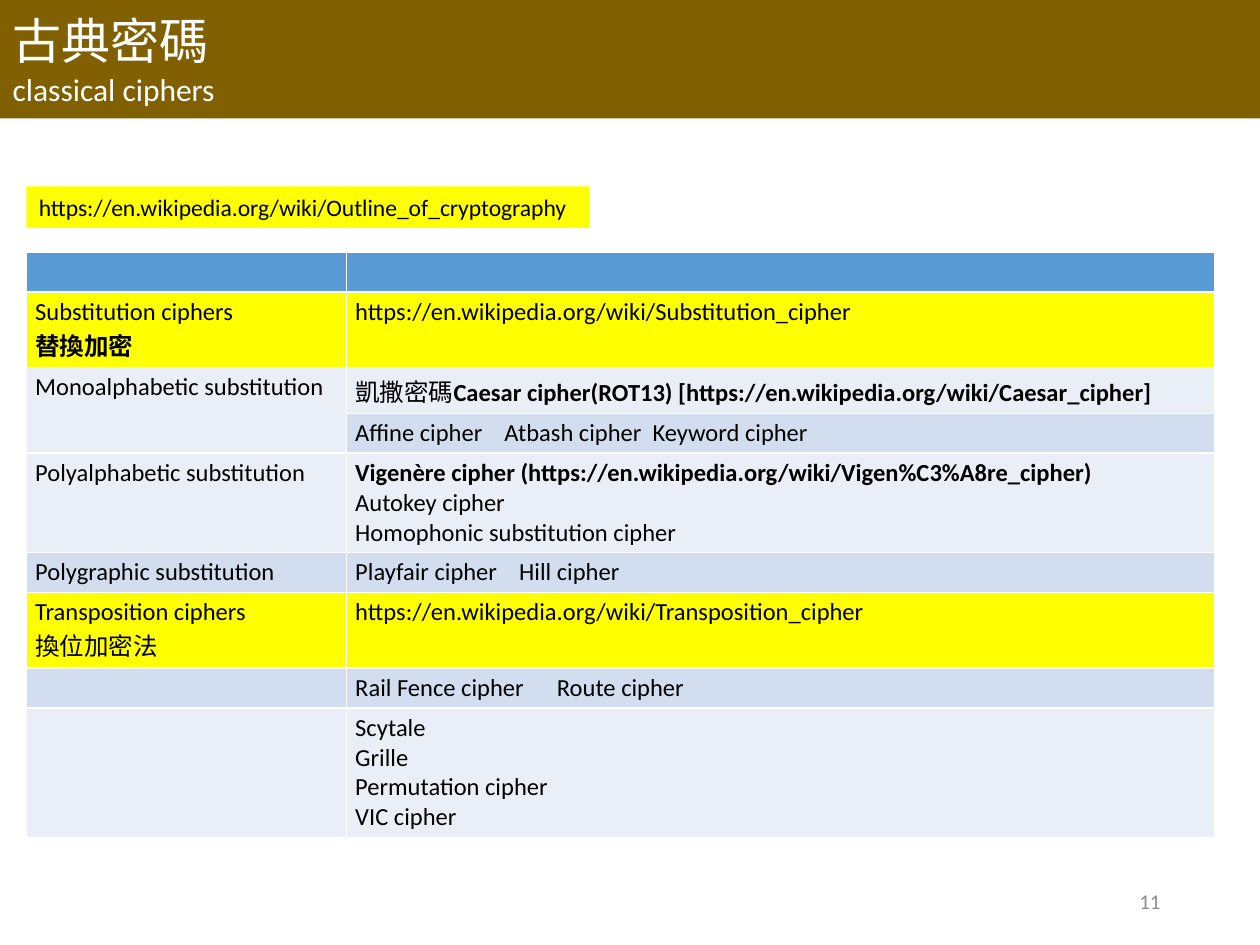
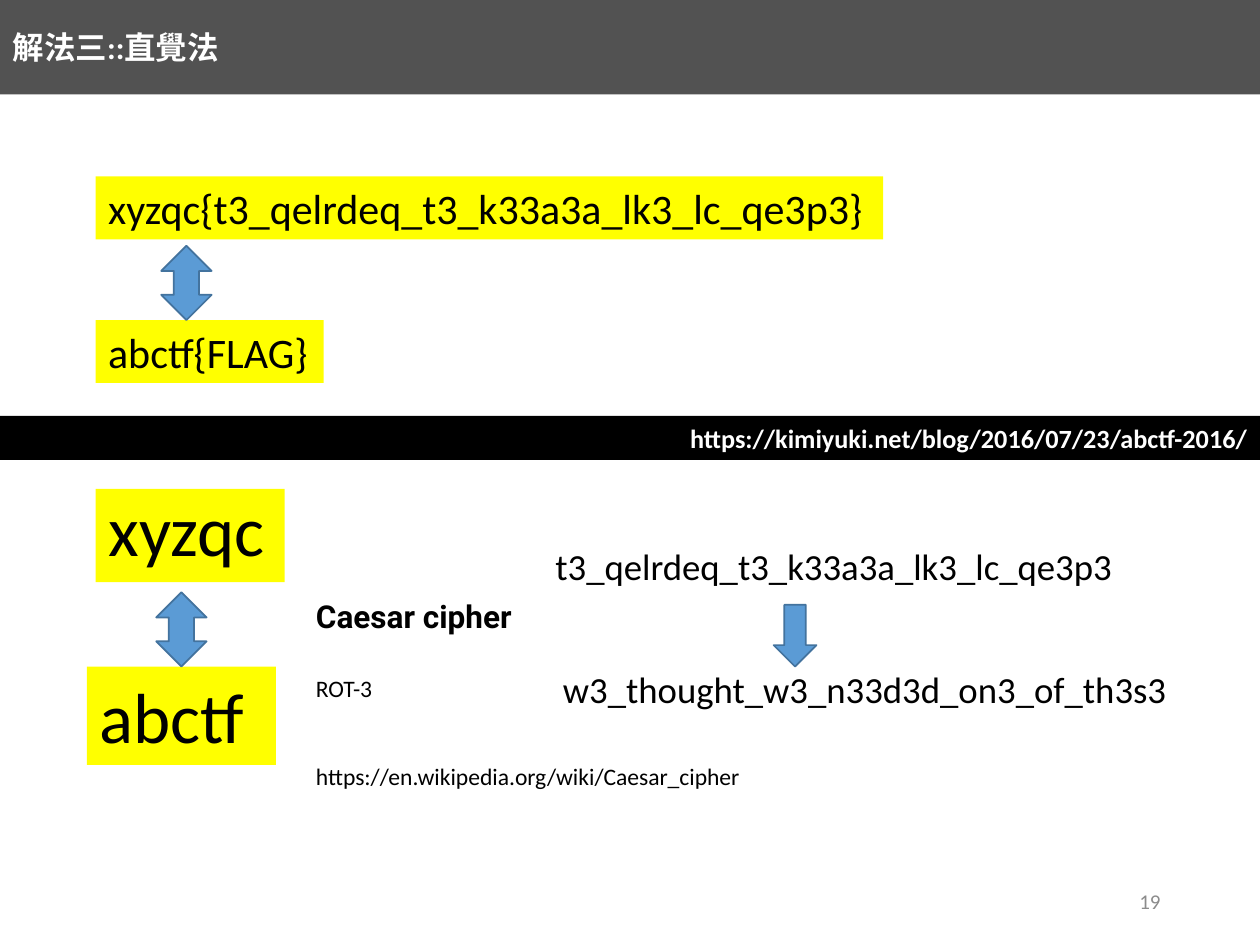
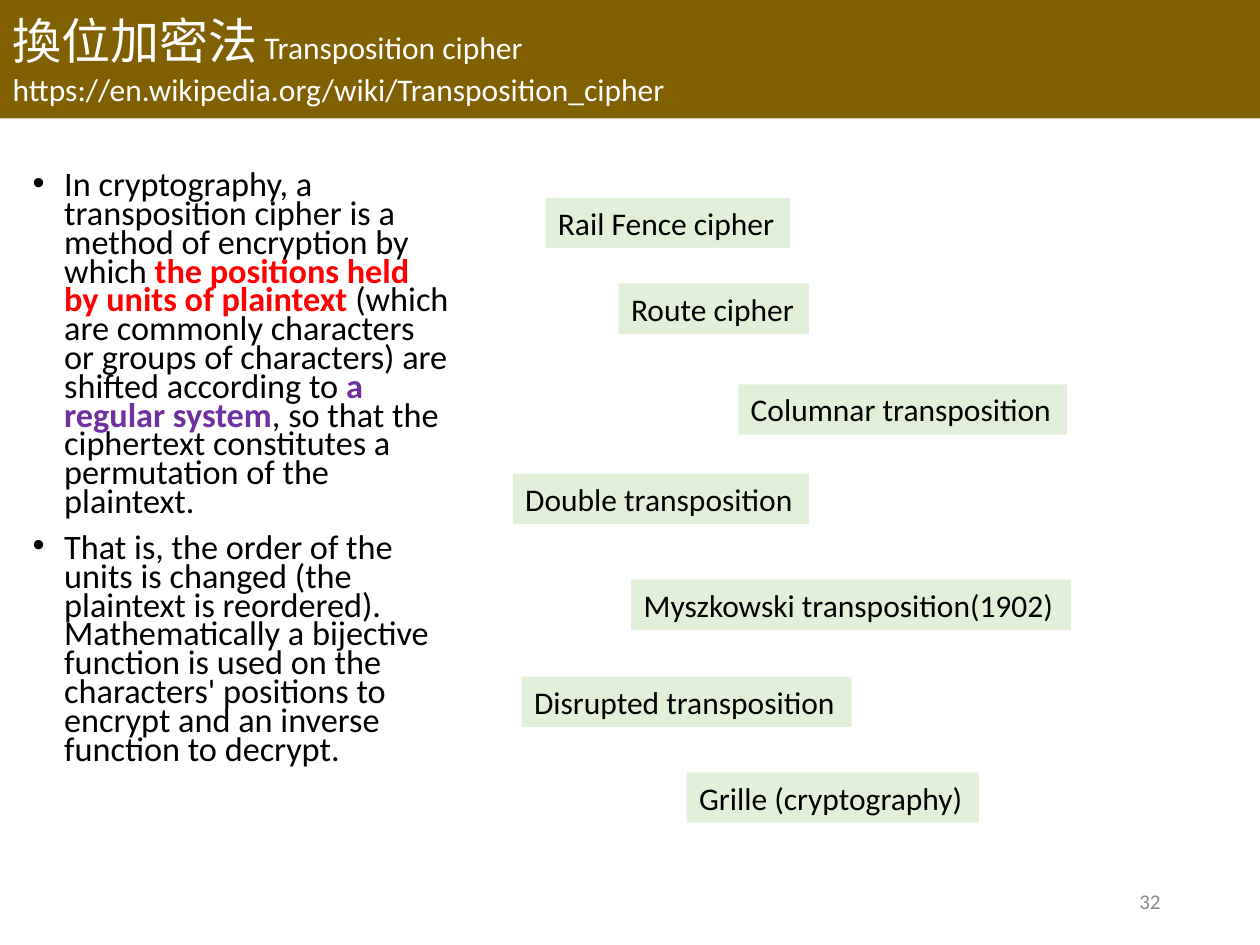
from lxml.etree import SubElement
from pptx import Presentation
from pptx.dml.color import RGBColor
from pptx.enum.shapes import MSO_SHAPE
from pptx.enum.text import MSO_ANCHOR, MSO_AUTO_SIZE, PP_ALIGN
from pptx.oxml.ns import qn
from pptx.util import Inches, Pt

COLORS = {
    "gold": "806000", "gray": "525252", "yellow": "FFFF00", "green": "E2F0D9",
    "blue": "5B9BD5", "outline": "43739E", "band_light": "EAEFF7",
    "band_dark": "D2DEEF", "black": "000000", "white": "FFFFFF",
    "number": "8C8C8C", "red": "FF0000", "purple": "7030A0",
}
LATIN_FONT = "Calibri"
ASIAN_FONT = "Noto Sans CJK SC"
TITLE_AND_CONTENT, TITLE_ONLY = 1, 5

CIPHER_ROWS = [
    (0.31, "blue", "", ""),
    (0.59, "yellow", ["Substitution ciphers", [("替換加密", {"bold": True})]],
     "https://en.wikipedia.org/wiki/Substitution_cipher"),
    (0.36, "band_light", "Monoalphabetic substitution",
     [["凱撒密碼",
       ("Caesar cipher(ROT13) [https://en.wikipedia.org/wiki/Caesar_cipher]", {"bold": True})]]),
    (0.31, "band_dark", None, "Affine cipher    Atbash cipher  Keyword cipher"),
    (0.79, "band_light", "Polyalphabetic substitution",
     [[("Vigenère cipher (https://en.wikipedia.org/wiki/Vigen%C3%A8re_cipher)", {"bold": True})],
      "Autokey cipher", "Homophonic substitution cipher"]),
    (0.31, "band_dark", "Polygraphic substitution", "Playfair cipher    Hill cipher"),
    (0.59, "yellow", ["Transposition ciphers", "換位加密法"],
     "https://en.wikipedia.org/wiki/Transposition_cipher"),
    (0.31, "band_dark", "", "Rail Fence cipher      Route cipher"),
    (1.02, "band_light", "", ["Scytale", "Grille", "Permutation cipher", "VIC cipher"]),
]

TRANSPOSITION_CIPHERS = [
    ("Rail Fence cipher", 4.33, 1.57, 1.94),
    ("Route cipher", 4.91, 2.25, 1.51),
    ("Columnar transposition", 5.86, 3.05, 2.61),
    ("Double transposition", 4.07, 3.76, 2.35),
    ("Myszkowski transposition(1902)", 5.01, 4.6, 3.49),
    ("Disrupted transposition", 4.14, 5.37, 2.62),
    ("Grille (cryptography)", 5.45, 6.13, 2.32),
]


def rgb(name):
    return RGBColor.from_string(COLORS[name])


def paint(item, color):
    item.fill.solid()
    item.fill.fore_color.rgb = rgb(color)


def place(shape, left, top, width, height):
    shape.left, shape.top = Inches(left), Inches(top)
    shape.width, shape.height = Inches(width), Inches(height)


def style_span(span, size, color="black", bold=False, font=LATIN_FONT):
    span.font.size = Pt(size)
    span.font.bold = bold
    span.font.color.rgb = rgb(color)
    span.font.name = font
    SubElement(span.font._element, qn("a:ea"), typeface=ASIAN_FONT)


def write(frame, content, size, align=PP_ALIGN.LEFT, **style):
    lines = [content] if isinstance(content, str) else content
    for index, line in enumerate(lines):
        paragraph = frame.paragraphs[0] if index == 0 else frame.add_paragraph()
        paragraph.alignment = align
        for part in [line] if isinstance(line, str) else line:
            text, changes = (part, {}) if isinstance(part, str) else part
            span = paragraph.add_run()
            span.text = text
            style_span(span, **{"size": size, **style, **changes})


def add_page(deck, layout, title, size, color, height, **style):
    page = deck.slides.add_slide(deck.slide_layouts[layout])
    band = page.shapes.title
    place(band, 0, 0, 10, height)
    geometry = SubElement(band._element.spPr, qn("a:prstGeom"), prst="wedgeRectCallout")
    SubElement(geometry, qn("a:avLst"))
    paint(band, color)
    frame = band.text_frame
    frame.auto_size = MSO_AUTO_SIZE.NONE
    frame.word_wrap = True
    frame.vertical_anchor = MSO_ANCHOR.MIDDLE
    write(frame, title, size, color="white", **style)
    return page


def add_label(page, text, left, top, width, height, size, fill=None, wrap=False, **style):
    box = page.shapes.add_textbox(Inches(left), Inches(top), Inches(width), Inches(height))
    if fill:
        paint(box, fill)
    box.text_frame.word_wrap = wrap
    box.text_frame.auto_size = MSO_AUTO_SIZE.SHAPE_TO_FIT_TEXT
    write(box.text_frame, text, size, **style)
    return box


def add_page_number(page, number):
    box = add_label(page, str(number), 7.06, 6.95, 2.25, 0.4, 12, wrap=True,
                    align=PP_ALIGN.RIGHT, color="number")
    box.text_frame.auto_size = MSO_AUTO_SIZE.NONE
    box.text_frame.vertical_anchor = MSO_ANCHOR.MIDDLE


def add_arrow(page, kind, left, top, width, height):
    arrow = page.shapes.add_shape(kind, Inches(left), Inches(top), Inches(width), Inches(height))
    arrow.shadow.inherit = False
    paint(arrow, "blue")
    arrow.line.color.rgb = rgb("outline")
    arrow.line.width = Pt(1)


def fill_body(page, content, area, size, spacing, indent=0):
    body = page.placeholders[1]
    place(body, *area)
    frame = body.text_frame
    frame.auto_size = MSO_AUTO_SIZE.NONE
    write(frame, content, size)
    for index, paragraph in enumerate(frame.paragraphs):
        paragraph.line_spacing = spacing
        paragraph.space_before = Pt(10 if index else 0)
        properties = paragraph._p.get_or_add_pPr()
        properties.set("marL", str(Inches(indent)))
        properties.set("indent", str(-Inches(indent)))
        if indent:
            SubElement(properties, qn("a:buChar"), char="•")
        else:
            SubElement(properties, qn("a:buNone"))
    return body


def fill_cell(cell, content, color):
    paint(cell, color)
    cell.margin_left = cell.margin_right = Inches(0.07)
    cell.margin_top = cell.margin_bottom = Inches(0.04)
    if content:
        write(cell.text_frame, content, 14)
    else:
        SubElement(cell.text_frame.paragraphs[0]._p, qn("a:endParaRPr"), sz="1400")


def add_cipher_table(page):
    height = sum(row[0] for row in CIPHER_ROWS)
    table = page.shapes.add_table(len(CIPHER_ROWS), 2, Inches(0.21), Inches(2),
                                  Inches(9.43), Inches(height)).table
    table.horz_banding = False
    for column, width in zip(table.columns, (2.54, 6.89)):
        column.width = Inches(width)
    for index, (row_height, color, *contents) in enumerate(CIPHER_ROWS):
        table.rows[index].height = Inches(row_height)
        for column, content in enumerate(contents):
            fill_cell(table.cell(index, column), content, color)
            if content is None:
                table.cell(index - 1, column).merge(table.cell(index, column))


def build_classical_ciphers(deck):
    title = ["古典密碼", [("classical ciphers", {"size": 18})]]
    page = add_page(deck, TITLE_ONLY, title, 28, "gold", 0.94)
    add_cipher_table(page)
    add_label(page, "https://en.wikipedia.org/wiki/Outline_of_cryptography",
              0.21, 1.48, 4.47, 0.33, 13.5, "yellow")
    add_page_number(page, 11)


def build_intuition_solution(deck):
    page = add_page(deck, TITLE_AND_CONTENT, "解法三::直覺法", 18, "gray", 0.75, bold=True)
    paint(fill_body(page, "xyzqc", (0.76, 3.88, 1.5, 0.74), 40.5, 0.9), "yellow")
    add_label(page, "abctf", 0.69, 5.29, 1.5, 0.78, 40.5, "yellow", wrap=True)
    add_label(page, "abctf{FLAG}", 0.76, 2.54, 1.81, 0.5, 24, "yellow")
    add_label(page, "xyzqc{t3_qelrdeq_t3_k33a3a_lk3_lc_qe3p3}", 0.76, 1.4, 6.25, 0.5, 24, "yellow")
    add_label(page, "https://kimiyuki.net/blog/2016/07/23/abctf-2016/", 0, 3.3, 10, 0.35, 15,
              "black", wrap=True, align=PP_ALIGN.RIGHT, color="white", bold=True)
    add_label(page, "t3_qelrdeq_t3_k33a3a_lk3_lc_qe3p3", 4.31, 4.27, 4.66, 0.45, 21)
    add_label(page, "w3_thought_w3_n33d3d_on3_of_th3s3", 4.37, 5.24, 5.04, 0.45, 21)
    add_label(page, "Caesar cipher", 2.41, 4.69, 1.76, 0.4, 18, bold=True, font="Roboto")
    add_label(page, "ROT-3", 2.41, 5.3, 0.67, 0.33, 13.5)
    add_label(page, "https://en.wikipedia.org/wiki/Caesar_cipher", 2.41, 6, 3.63, 0.33, 13.5)
    add_arrow(page, MSO_SHAPE.UP_DOWN_ARROW, 1.28, 1.95, 0.4, 0.59)
    add_arrow(page, MSO_SHAPE.UP_DOWN_ARROW, 1.24, 4.7, 0.4, 0.59)
    add_arrow(page, MSO_SHAPE.DOWN_ARROW, 6.14, 4.8, 0.34, 0.49)
    add_page_number(page, 19)


def build_transposition_cipher(deck):
    title = [[("換位加密法", {"size": 28}), " Transposition cipher"],
             "https://en.wikipedia.org/wiki/Transposition_cipher"]
    page = add_page(deck, TITLE_AND_CONTENT, title, 18, "gold", 0.94)
    explanation = [
        ["In cryptography, a transposition cipher is a method of encryption by which ",
         ("the positions held by units of plaintext ", {"color": "red", "bold": True}),
         "(which are commonly characters or groups of characters) are shifted according to ",
         ("a regular system", {"color": "purple", "bold": True}),
         ", so that the ciphertext constitutes a permutation of the plaintext."],
        "That is, the order of the units is changed (the plaintext is reordered). "
        "Mathematically a bijective function is used on the characters' positions "
        "to encrypt and an inverse function to decrypt.",
    ]
    fill_body(page, explanation, (0.16, 1.33, 3.51, 6.06), 19.6, 0.7, indent=0.25)
    for name, left, top, width in TRANSPOSITION_CIPHERS:
        add_label(page, name, left, top, width, 0.4, 18, "green")
    add_page_number(page, 32)


def main():
    deck = Presentation()
    deck.slide_width, deck.slide_height = Inches(10), Inches(7.5)
    build_classical_ciphers(deck)
    build_intuition_solution(deck)
    build_transposition_cipher(deck)
    deck.save("out.pptx")


if __name__ == "__main__":
    main()
